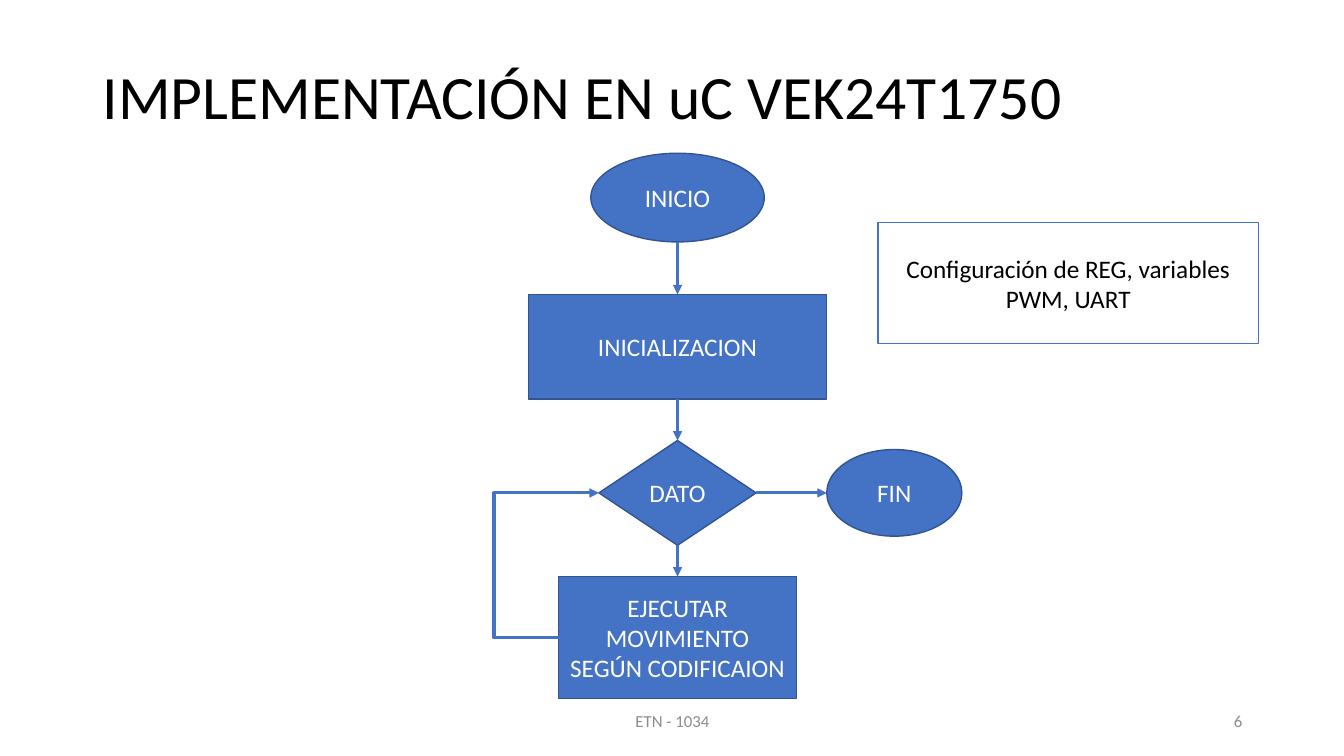
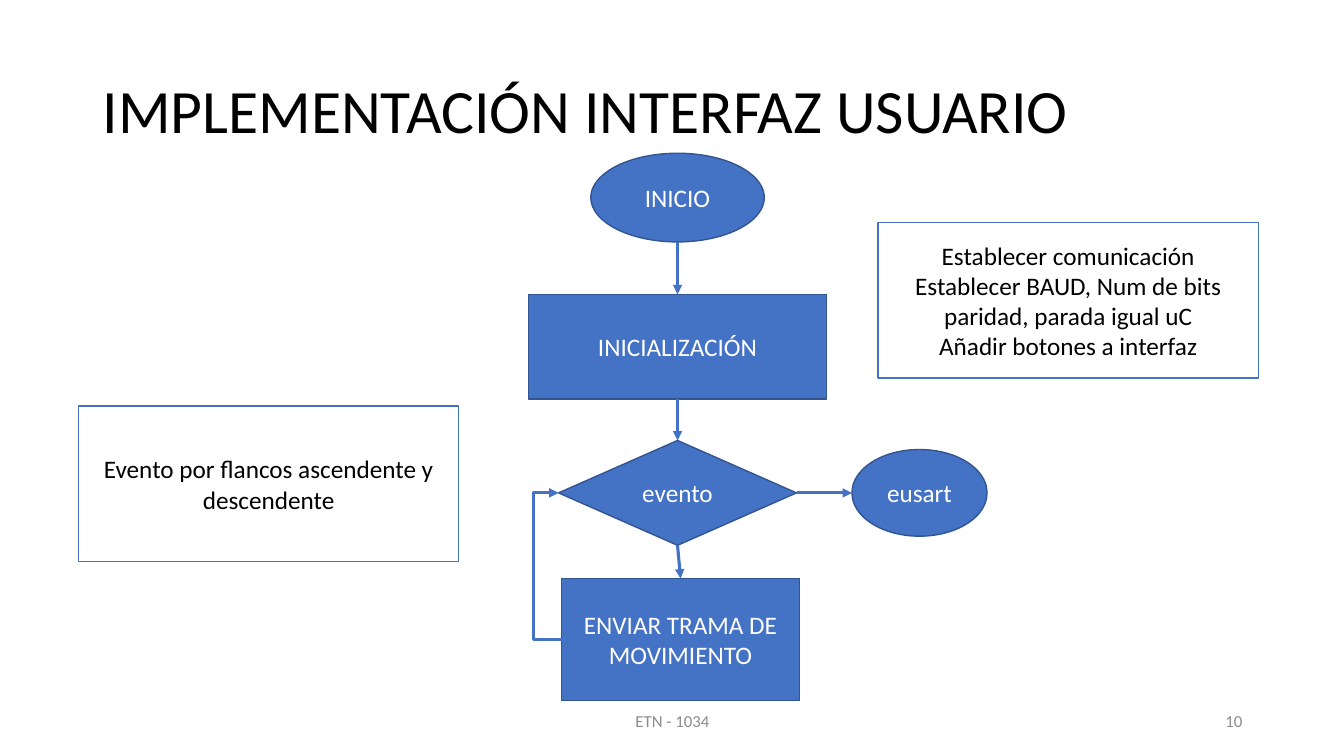
"""Two flowchart slides on the microcontroller program and the user interface."""
import pptx
import pptx.dml.color
import pptx.enum.shapes
import pptx.enum.text
import pptx.oxml
import pptx.oxml.ns
import pptx.util

PX = 9144
FONT = "Calibri"
BLUE = pptx.dml.color.RGBColor(0x44, 0x72, 0xC4)
DARK_BLUE = pptx.dml.color.RGBColor(0x32, 0x54, 0x91)
WHITE = pptx.dml.color.RGBColor(0xFF, 0xFF, 0xFF)
BLACK = pptx.dml.color.RGBColor(0x00, 0x00, 0x00)
GREY = pptx.dml.color.RGBColor(0x8C, 0x8C, 0x8C)
KIND = pptx.enum.shapes.MSO_SHAPE
LINK = pptx.enum.shapes.MSO_CONNECTOR
ALIGN = pptx.enum.text.PP_ALIGN
TOP, LEFT, BOTTOM, RIGHT = range(4)
AXIS = 672


def px(*lengths):
    """Turn pixel lengths into a list of EMU lengths."""
    return [pptx.util.Emu(length * PX) for length in lengths]


def write(shape, text, size=18, color=BLACK, align=ALIGN.CENTER, spacing=None):
    """Write each line of text as a paragraph in the middle of the shape."""
    frame = shape.text_frame
    frame.word_wrap = True
    frame.vertical_anchor = pptx.enum.text.MSO_ANCHOR.MIDDLE
    for index, line in enumerate(text.split("\n")):
        paragraph = frame.add_paragraph() if index else frame.paragraphs[0]
        paragraph.alignment = align
        paragraph.line_spacing = spacing
        run = paragraph.add_run()
        run.text = line
        run.font.name = FONT
        run.font.size = pptx.util.Pt(size)
        run.font.color.rgb = color


def add_label(slide, box, text, **style):
    """Add a plain text box."""
    write(slide.shapes.add_textbox(*px(*box)), text, **style)


def add_block(slide, kind, box, text, fill=BLUE, outline=DARK_BLUE, color=WHITE):
    """Add a filled and outlined shape with centred text."""
    block = slide.shapes.add_shape(kind, *px(*box))
    block.shadow.inherit = False
    block.fill.solid()
    block.fill.fore_color.rgb = fill
    block.line.color.rgb = outline
    block.line.width = pptx.util.Pt(1)
    write(block, text, color=color)
    return block


def add_note(slide, box, text):
    """Add a white note with a blue outline."""
    add_block(slide, KIND.RECTANGLE, box, text, fill=WHITE, outline=BLUE, color=BLACK)


def side_point(block, side):
    """Return the middle of one side of a block."""
    across = {LEFT: 0, RIGHT: block.width}.get(side, block.width // 2)
    down = {TOP: 0, BOTTOM: block.height}.get(side, block.height // 2)
    return block.left + across, block.top + down


def add_arrow(slide, start, start_side, end, end_side, kind=LINK.STRAIGHT):
    """Add an arrow between the sides of two blocks, joined where sides allow."""
    arrow = slide.shapes.add_connector(
        kind, *side_point(start, start_side), *side_point(end, end_side))
    if start.auto_shape_type != KIND.OVAL:
        arrow.begin_connect(start, start_side)
    if end.auto_shape_type != KIND.OVAL:
        arrow.end_connect(end, end_side)
    arrow.line.color.rgb = BLUE
    arrow.line.width = pptx.util.Pt(2.25)
    head = pptx.oxml.parse_xml(
        f'<a:tailEnd {pptx.oxml.ns.nsdecls("a")} type="triangle"/>')
    arrow.line._get_or_add_ln().append(head)
    effects = pptx.oxml.parse_xml(f'<a:effectLst {pptx.oxml.ns.nsdecls("a")}/>')
    arrow._element.spPr.append(effects)
    return arrow


def add_loop(slide, start, end, bend):
    """Add an arrow that returns by the left, turning at the bend position."""
    loop = add_arrow(slide, start, LEFT, end, LEFT, LINK.ELBOW)
    ratio = (bend * PX - start.left) / (end.left - start.left)
    properties = loop._element.spPr
    frame = properties.find(pptx.oxml.ns.qn("a:xfrm"))
    frame.flipH, frame.flipV = not frame.flipH, not frame.flipV
    frame.set("rot", "10800000")
    guides = properties.find(pptx.oxml.ns.qn("a:prstGeom")).get_or_add_avLst()
    guides.append(pptx.oxml.parse_xml(
        f'<a:gd {pptx.oxml.ns.nsdecls("a")} name="adj1" '
        f'fmla="val {round(ratio * 100000)}"/>'))


def add_flow(slide, setup, decision, decision_width, action, action_box,
             result, result_left, bend):
    """Draw the flowchart down the axis, with its result and its loop."""
    start = add_block(slide, KIND.OVAL, (AXIS - 86, 152, 172, 88), "INICIO")
    setup = add_block(slide, KIND.RECTANGLE, (AXIS - 148, 292, 296, 104), setup)
    action = add_block(slide, KIND.RECTANGLE, action_box, action)
    decision = add_block(
        slide, KIND.FLOWCHART_DECISION,
        (AXIS - decision_width // 2, 437, decision_width, 104), decision)
    result = add_block(slide, KIND.OVAL, (result_left, 446, 134, 86), result)
    for upper, lower in ((start, setup), (setup, decision), (decision, action)):
        add_arrow(slide, upper, BOTTOM, lower, TOP)
    add_arrow(slide, decision, RIGHT, result, LEFT)
    add_loop(slide, action, decision, bend)


def add_page(deck, title, title_top, number):
    """Add a blank slide with its title, footer and page number."""
    slide = deck.slides.add_slide(deck.slide_layouts[6])
    add_label(slide, (92, title_top, 1150, 145), title,
              size=44, align=ALIGN.LEFT, spacing=0.9)
    add_label(slide, (442, 695, 450, 40), "ETN - 1034", size=12, color=GREY)
    add_label(slide, (942, 695, 300, 40), number,
              size=12, color=GREY, align=ALIGN.RIGHT)
    return slide


def add_controller_page(deck):
    """Build the slide on the microcontroller program."""
    slide = add_page(deck, "IMPLEMENTACIÓN EN uC VEK24T1750", 26, "6")
    add_flow(slide, setup="INICIALIZACION", decision="DATO", decision_width=156,
             action="EJECUTAR MOVIMIENTO SEGÚN CODIFICAION",
             action_box=(554, 572, 236, 121),
             result="FIN", result_left=820, bend=490)
    add_note(slide, (871, 221, 377, 120),
             "Configuración de REG, variables\nPWM, UART")


def add_interface_page(deck):
    """Build the slide on the user interface."""
    slide = add_page(deck, "IMPLEMENTACIÓN INTERFAZ USUARIO", 40, "10")
    add_flow(slide, setup="INICIALIZACIÓN", decision="evento", decision_width=236,
             action="ENVIAR TRAMA DE MOVIMIENTO",
             action_box=(557, 574, 236, 121),
             result="eusart", result_left=845, bend=529)
    add_note(slide, (871, 221, 377, 154),
             "Establecer comunicación\n"
             "Establecer BAUD, Num de bits paridad, parada igual uC\n"
             "Añadir botones a interfaz")
    add_note(slide, (78, 403, 377, 154),
             "Evento por flancos ascendente y descendente")


def main():
    """Build and save the presentation."""
    deck = pptx.Presentation()
    deck.slide_width, deck.slide_height = px(1333, 750)
    add_controller_page(deck)
    add_interface_page(deck)
    deck.save("out.pptx")


if __name__ == "__main__":
    main()
